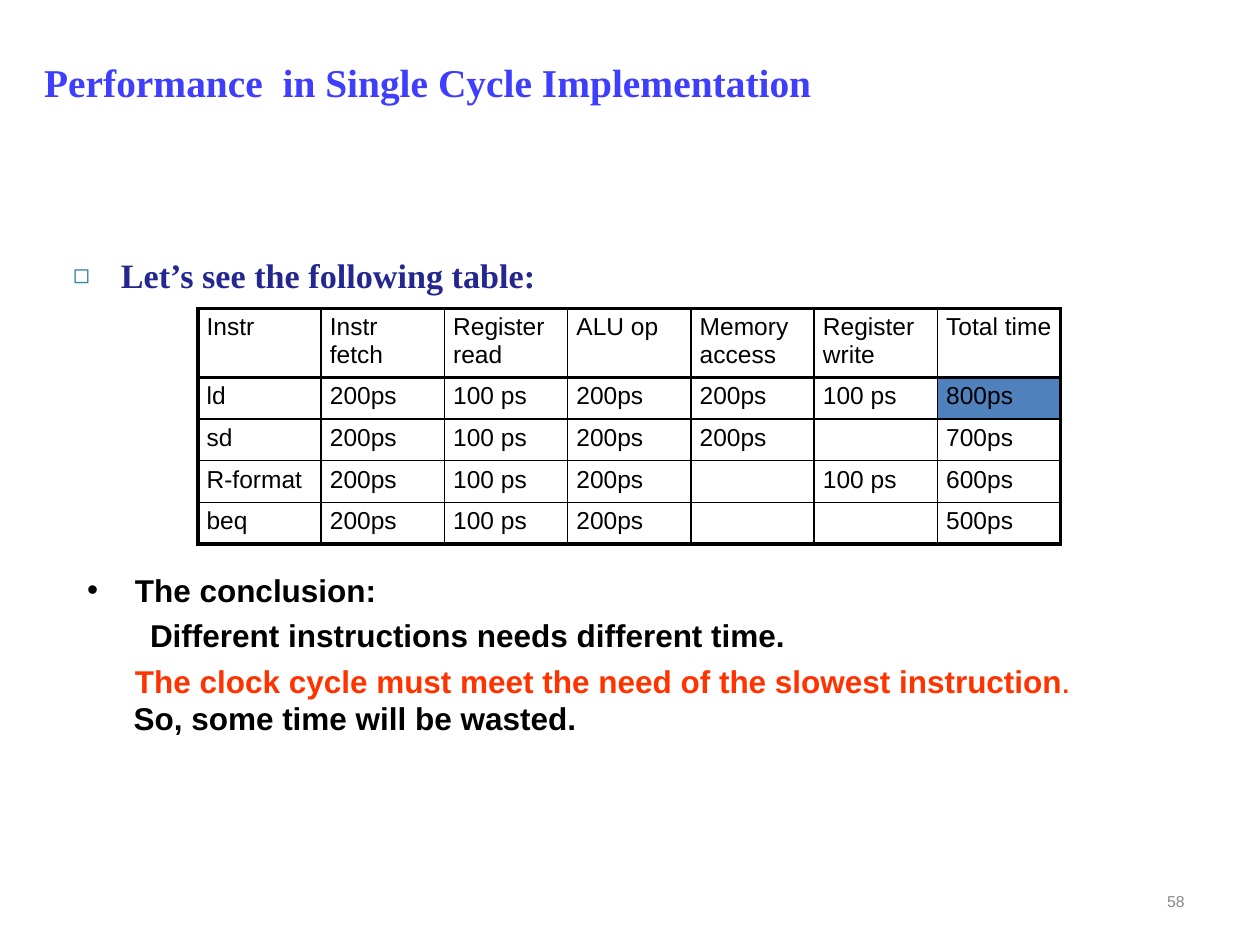
"""Builds a slide on instruction timing in a single cycle implementation."""
from lxml import etree
from pptx import Presentation
from pptx.dml.color import RGBColor
from pptx.enum.shapes import MSO_SHAPE
from pptx.enum.text import MSO_ANCHOR, PP_ALIGN
from pptx.oxml.ns import qn
from pptx.util import Inches, Pt

ROUNDED = MSO_SHAPE.ROUNDED_RECTANGLE
TOP, MIDDLE = MSO_ANCHOR.TOP, MSO_ANCHOR.MIDDLE
LEFT, RIGHT = PP_ALIGN.LEFT, PP_ALIGN.RIGHT

THEME = {
    "title": {"name": "Times New Roman", "size": 22.5, "bold": True, "color": "3E3EFC"},
    "lead": {"name": "Times New Roman", "size": 19.5, "bold": True, "color": "242790"},
    "body": {"name": "Arial", "size": 18, "bold": True, "color": "000000"},
    "warning": {"name": "Arial", "size": 18, "bold": True, "color": "FF3300"},
    "stop": {"name": "Arial", "size": 13.5, "bold": True, "color": "FF3300"},
    "cell": {"name": "Arial", "size": 14, "bold": False, "color": "000000"},
    "number": {"name": "Arial", "size": 9, "bold": False, "color": "898989"},
    "bullet": "31859C",
    "border": "000000",
    "highlight": "4F81BD",
}
TIGHT = {
    "margin_left": Inches(0.07), "margin_right": Inches(0.07),
    "margin_top": Inches(0.04), "margin_bottom": Inches(0.04),
    "vertical_anchor": TOP, "word_wrap": True,
}


def add_run(p, text, style):
    r = p.add_run()
    r.text = text
    for key, value in THEME[style].items():
        if key == "color":
            r.font.color.rgb = RGBColor.from_string(value)
        else:
            setattr(r.font, key, Pt(value) if key == "size" else value)


def set_indent(p, margin, indent, bullet=None, color=None, scale=100):
    pPr = p._p.get_or_add_pPr()
    pPr.set("marL", str(Inches(margin)))
    pPr.set("indent", str(Inches(indent)))
    if color:
        buClr = etree.SubElement(pPr, qn("a:buClr"))
        etree.SubElement(buClr, qn("a:srgbClr"), val=color)
    if bullet:
        etree.SubElement(pPr, qn("a:buSzPct"), val=str(scale * 1000))
        etree.SubElement(pPr, qn("a:buFont"), typeface="Arial")
        etree.SubElement(pPr, qn("a:buChar"), char=bullet)
    else:
        etree.SubElement(pPr, qn("a:buNone"))


prs = Presentation()
prs.slide_width, prs.slide_height = Inches(10), Inches(7.5)
s = prs.slides.add_slide(prs.slide_layouts[5])

title = s.shapes.title
title.left, title.top = Inches(0.25), Inches(0.13)
title.width, title.height = Inches(8.61), Inches(1.04)
tf = title.text_frame
tf.vertical_anchor = MIDDLE
p = tf.paragraphs[0]
p.alignment = LEFT
add_run(p, "Performance  in Single Cycle Implementation", "title")

sp = s.shapes.add_shape(ROUNDED, Inches(0.57), Inches(4.44), Inches(8.29), Inches(1.38))
sp.adjustments[0] = 0.125
sp.shadow.inherit = False
sp.fill.background()
sp.line.fill.background()
tf = sp.text_frame
for key, value in TIGHT.items():
    setattr(tf, key, value)
conclusion = [
    (0.38, -0.38, "•", [("The conclusion:", "body")]),
    (0.81, -0.31, None, [("Different instructions needs different time.", "body")]),
    (0.37, 0.01, None, [
        ("The clock cycle must meet the need of the slowest instruction", "warning"),
        (". ", "stop"),
        ("So, some time will be wasted.", "body"),
    ]),
]
for i, (margin, indent, bullet, runs) in enumerate(conclusion):
    p = tf.add_paragraph() if i else tf.paragraphs[0]
    set_indent(p, margin, indent, bullet)
    p.alignment = LEFT
    p.space_before = Pt(4.3 if i else 0)
    for text, style in runs:
        add_run(p, text, style)

tb = s.shapes.add_textbox(Inches(0.51), Inches(1.98), Inches(9), Inches(2.46))
tf = tb.text_frame
for key, value in TIGHT.items():
    setattr(tf, key, value)
p = tf.paragraphs[0]
set_indent(p, 0.38, -0.38, "◻", THEME["bullet"], 80)
add_run(p, "Let’s see the following table:", "lead")

rows = [
    ["Instr", "Instr fetch", "Register read", "ALU op", "Memory access", "Register write", "Total time"],
    ["ld", "200ps", "100 ps", "200ps", "200ps", "100 ps", "800ps"],
    ["sd", "200ps", "100 ps", "200ps", "200ps", "", "700ps"],
    ["R-format", "200ps", "100 ps", "200ps", "", "100 ps", "600ps"],
    ["beq", "200ps", "100 ps", "200ps", "", "", "500ps"],
]
last_row, last_col = len(rows) - 1, len(rows[0]) - 1
table = s.shapes.add_table(
    len(rows), len(rows[0]), Inches(1.57), Inches(2.45), Inches(6.85), Inches(1.85)
).table
table.first_row = table.horz_banding = False
for col in table.columns:
    col.width = Inches(6.85 / len(rows[0]))
for i, values in enumerate(rows):
    table.rows[i].height = Inches(0.33 if i else 0.53)
    for j, text in enumerate(values):
        cell = table.cell(i, j)
        for key, value in TIGHT.items():
            if key != "word_wrap":
                setattr(cell, key, value)
        p = cell.text_frame.paragraphs[0]
        if text:
            add_run(p, text, "cell")
        else:
            etree.SubElement(p._p, qn("a:endParaRPr"), sz=str(THEME["cell"]["size"] * 100))
        tcPr = cell._tc.get_or_add_tcPr()
        borders = {
            "a:lnL": 1 if j else 2.25,
            "a:lnR": 2.25 if j == last_col else 1,
            "a:lnT": {0: 2.25, 1: 1.5}.get(i, 1),
            "a:lnB": {0: 1.5, last_row: 2.25}.get(i, 1),
        }
        for tag, width in borders.items():
            ln = etree.SubElement(tcPr, qn(tag), w=str(Pt(width)))
            fill = etree.SubElement(ln, qn("a:solidFill"))
            etree.SubElement(fill, qn("a:srgbClr"), val=THEME["border"])
        if text == "800ps":
            cell.fill.solid()
            cell.fill.fore_color.rgb = RGBColor.from_string(THEME["highlight"])
        else:
            cell.fill.background()

tb = s.shapes.add_textbox(Inches(7.17), Inches(6.95), Inches(2.33), Inches(0.4))
tf = tb.text_frame
tf.word_wrap = True
tf.vertical_anchor = MIDDLE
p = tf.paragraphs[0]
p.alignment = RIGHT
add_run(p, "58", "number")

prs.save("out.pptx")
